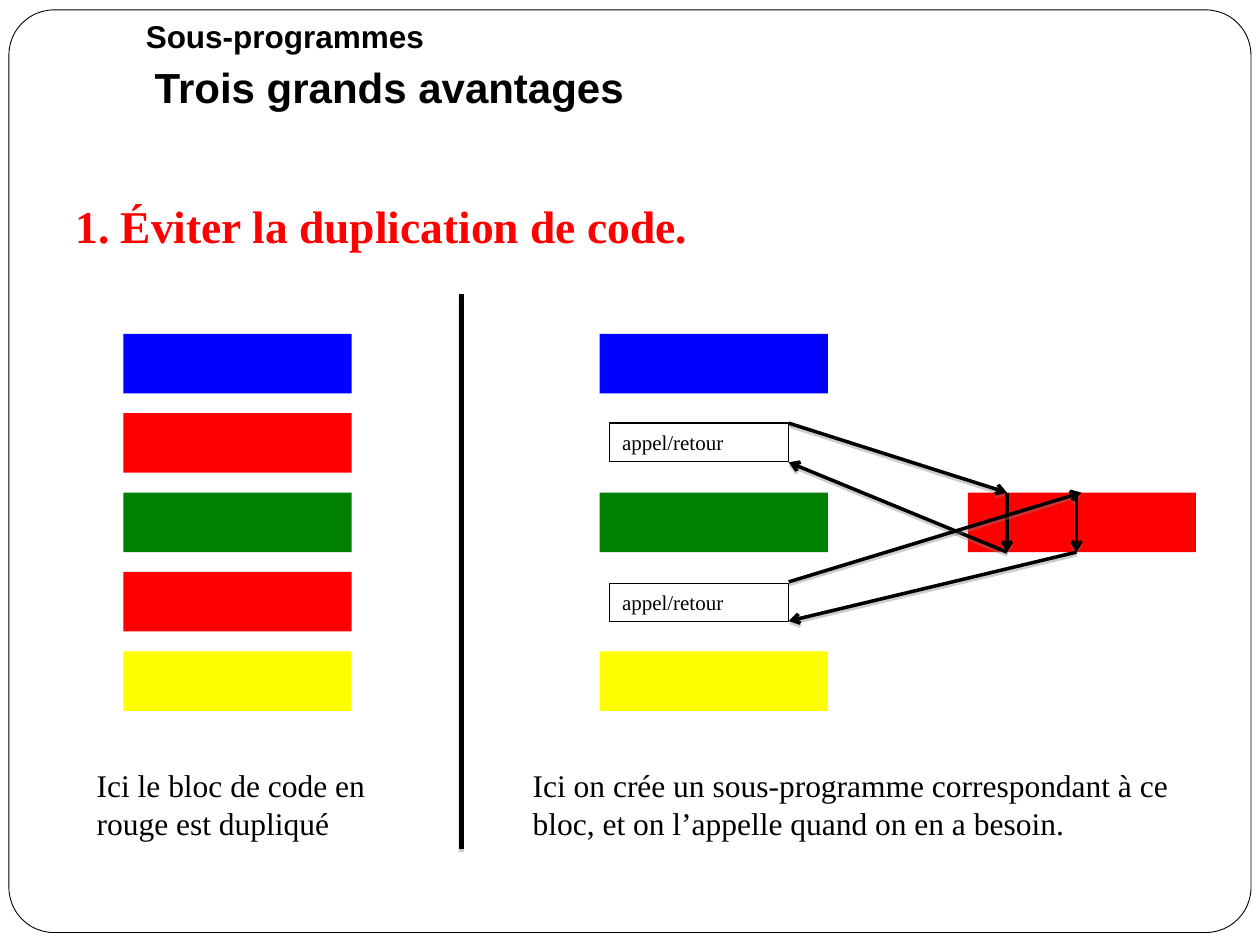
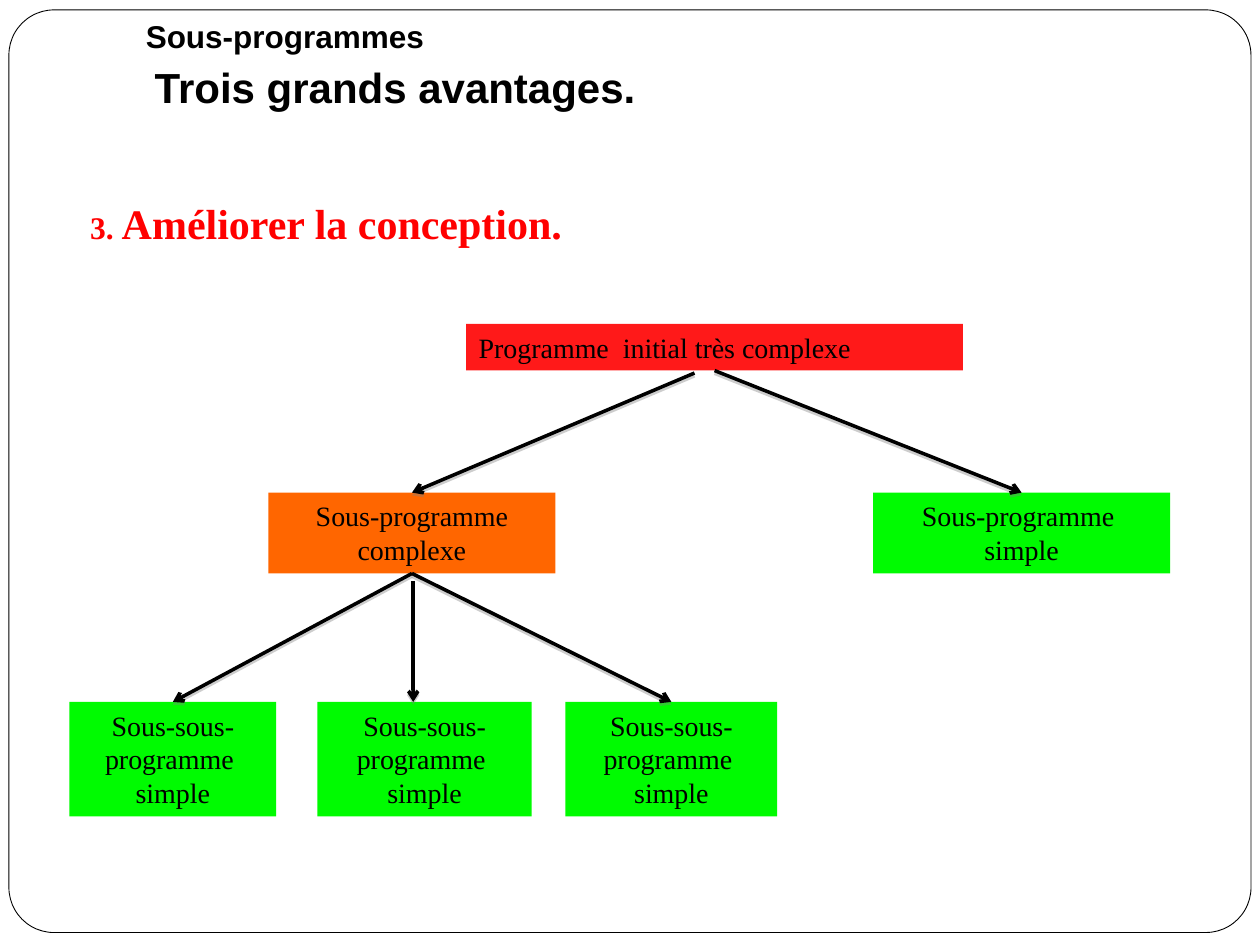
from pptx import Presentation
from pptx import util as u
from pptx.dml.color import RGBColor
from pptx.enum import shapes, text
from pptx.oxml import parse_xml
from pptx.oxml.ns import nsdecls, qn
from lxml import etree

BLACK = RGBColor(0x00, 0x00, 0x00)
WHITE = RGBColor(0xFF, 0xFF, 0xFF)
BLUE = RGBColor(0x00, 0x00, 0xFF)
RED = RGBColor(0xFF, 0x00, 0x00)
GREEN = RGBColor(0x00, 0x80, 0x00)
YELLOW = RGBColor(0xFF, 0xFF, 0x00)
ORANGE = RGBColor(0xFF, 0x66, 0x00)
LIME = RGBColor(0x00, 0xFB, 0x01)
SERIF, SANS = "Times New Roman", "Arial"
TOP, BOTTOM = 0, 2
SHADOW = (
    f'<a:effectLst {nsdecls("a")}><a:outerShdw blurRad="0" dist="20000" dir="5400000" '
    'rotWithShape="0"><a:srgbClr val="808080"><a:alpha val="38000"/></a:srgbClr>'
    "</a:outerShdw></a:effectLst>"
)


def write(holder, words, size=18, font=SERIF, color=BLACK, bold=False,
          align=text.PP_ALIGN.LEFT, anchor=text.MSO_ANCHOR.TOP):
    """Append formatted words to the first paragraph of a shape."""
    frame = holder.text_frame
    frame.word_wrap = True
    frame.vertical_anchor = anchor
    paragraph = frame.paragraphs[0]
    paragraph.alignment = align
    run = paragraph.add_run()
    run.text = words
    run.font.size = u.Pt(size)
    run.font.name = font
    run.font.bold = bold
    run.font.color.rgb = color


def add_label(slide, left, top, width, height, margin_top=0.13):
    """Add an empty text box measured in centimetres."""
    label = slide.shapes.add_textbox(u.Cm(left), u.Cm(top), u.Cm(width), u.Cm(height))
    label.text_frame.margin_top = u.Cm(margin_top)
    return label


def add_block(slide, left, top, width, height, fill=None, outline=None,
              kind=shapes.MSO_SHAPE.RECTANGLE, opacity=100):
    """Add a flat shape with an optional fill and an optional outline width."""
    block = slide.shapes.add_shape(kind, u.Cm(left), u.Cm(top), u.Cm(width), u.Cm(height))
    block.shadow.inherit = False
    if fill is None:
        block.fill.background()
    else:
        block.fill.solid()
        block.fill.fore_color.rgb = fill
    if opacity < 100:
        tint = block._element.spPr.find(qn("a:solidFill"))[0]
        etree.SubElement(tint, qn("a:alpha"), val=str(opacity * 1000))
    if outline is None:
        block.line.fill.background()
    else:
        block.line.color.rgb = BLACK
        block.line.width = u.Pt(outline)
    return block


def add_stroke(slide, start, end, width=2, arrow=True):
    """Join two points, or two (block, side) pairs, with a shadowed line."""
    tied = [not isinstance(place[0], (int, float)) for place in (start, end)]
    points = [(0, 0) if fixed else place for fixed, place in zip(tied, (start, end))]
    stroke = slide.shapes.add_connector(
        shapes.MSO_CONNECTOR.STRAIGHT, *(u.Cm(value) for point in points for value in point))
    if tied[0]:
        stroke.begin_connect(*start)
    if tied[1]:
        stroke.end_connect(*end)
    stroke.line.color.rgb = BLACK
    stroke.line.width = u.Pt(width)
    properties = stroke._element.spPr
    if arrow:
        etree.SubElement(properties.find(qn("a:ln")), qn("a:tailEnd"), type="arrow")
    properties.append(parse_xml(SHADOW))


def add_page(deck, title):
    """Add a slide with the shared border, chapter name and title."""
    slide = deck.slides.add_slide(deck.slide_layouts[6])
    border = add_block(slide, 0.18, 0.2, 25.04, 18.6, WHITE, 0.5,
                       shapes.MSO_SHAPE.ROUNDED_RECTANGLE)
    border.adjustments[0] = 0.049
    chapter = add_label(slide, 2.69, 0.15, 22.71, 1.02, margin_top=0.2)
    write(chapter, "Sous-programmes", font=SANS, bold=True)
    heading = add_label(slide, 2.87, 1.12, 22.53, 1.24)
    write(heading, title, size=24, font=SANS, bold=True, anchor=text.MSO_ANCHOR.MIDDLE)
    return slide


def add_advantage(slide, left, parts):
    """Add the red advantage line from (words, size) parts."""
    advantage = add_label(slide, left, 3.76, 23.44, 14.1, margin_top=0.23)
    for words, size in parts:
        write(advantage, words, size=size, color=RED, bold=True)


def add_duplication_slide(deck):
    """Compare duplicated code with calls to one subprogram."""
    slide = add_page(deck, "Trois grands avantages")
    add_advantage(slide, 1.27, [("1. Éviter la duplication de code.", 26)])
    columns = (
        (2.49, (BLUE, RED, GREEN, RED, YELLOW)),
        (12.09, (BLUE, None, GREEN, None, YELLOW)),
        (19.51, (None, None, RED)),
    )
    for left, colors in columns:
        for row, color in enumerate(colors):
            if color is not None:
                add_block(slide, left, 6.73 + 1.6 * row, 4.6, 1.2, color)
    for top in (8.53, 11.76):
        call = add_block(slide, 12.29, top, 3.61, 0.77, outline=0.75)
        write(call, "appel/retour", size=12)

    add_stroke(slide, (9.3, 5.92), (9.3, 17.12), width=3, arrow=False)
    call_x, code_top, code_bottom = 15.9, 9.93, 11.13
    paths = (
        (8.53, 20.3, 20.3, 9.32),
        (11.73, 21.8, 21.7, 12.52),
    )
    for call_y, entry_x, code_x, return_y in paths:
        add_stroke(slide, (call_x, call_y), (entry_x, code_top))
        add_stroke(slide, (code_x, code_top), (code_x, code_bottom))
        add_stroke(slide, (code_x, code_bottom), (call_x, return_y))

    captions = (
        (1.7, 7.01, "Ici le bloc de code en rouge est dupliqué"),
        (10.49, 14.4, "Ici on crée un sous-programme correspondant à ce bloc, "
                      "et on l’appelle quand on en a besoin."),
    )
    for left, width, words in captions:
        write(add_label(slide, left, 15.32, width, 1.8), words)


def add_design_slide(deck):
    """Split a complex program into a tree of simpler ones."""
    slide = add_page(deck, "Trois grands avantages.")
    add_advantage(slide, 1.57, [("3. ", 18), ("Améliorer la conception.", 24)])
    program = add_block(slide, 9.4, 6.53, 10.01, 0.94, RED, opacity=90)
    write(program, "Programme  initial très complexe", size=16)

    def add_part(left, top, width, height, color, words):
        """Add one centred part of the tree."""
        part = add_block(slide, left, top, width, height, color)
        write(part, words, size=16, align=text.PP_ALIGN.CENTER)
        return part

    complex_part = add_part(5.41, 9.93, 5.79, 1.63, ORANGE, "Sous-programme complexe")
    simple_part = add_part(17.6, 9.93, 5.99, 1.63, LIME, "Sous-programme  simple")
    leaves = [
        add_part(left, 14.15, width, 2.31, LIME, "Sous-sous-programme  simple")
        for left, width in ((1.4, 4.17), (6.4, 4.32), (11.4, 4.27))
    ]
    add_stroke(slide, (14.0, 7.52), (complex_part, TOP))
    add_stroke(slide, (program, BOTTOM), (simple_part, TOP))
    for leaf in (leaves[0], leaves[2]):
        add_stroke(slide, (complex_part, BOTTOM), (leaf, TOP))
    add_stroke(slide, (8.33, 11.71), (8.33, 14.15))


def main():
    """Build and save the deck."""
    deck = Presentation()
    deck.slide_width, deck.slide_height = u.Cm(25.4), u.Cm(19.05)
    add_duplication_slide(deck)
    add_design_slide(deck)
    deck.save("out.pptx")


if __name__ == "__main__":
    main()
